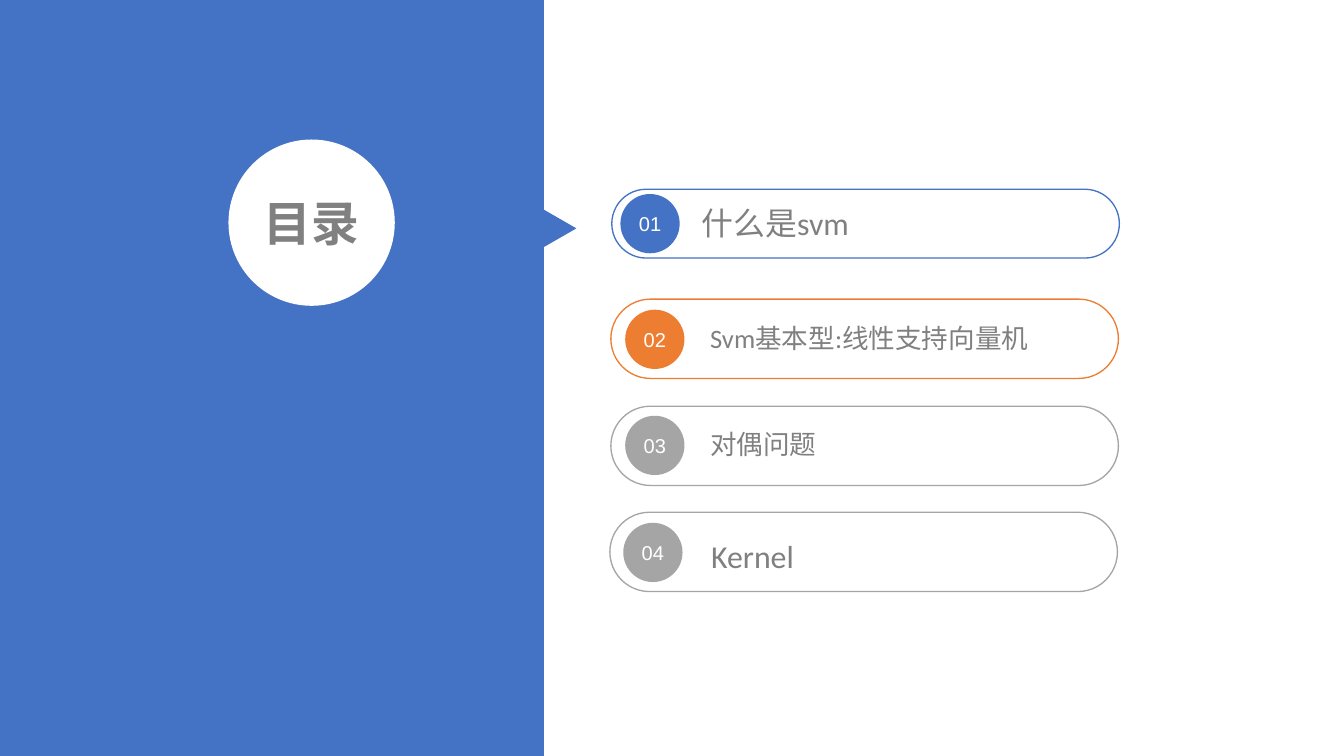
from pptx import Presentation
from pptx.dml.color import RGBColor
from pptx.enum.shapes import MSO_SHAPE as Shape
from pptx.enum.text import MSO_ANCHOR as Anchor, MSO_AUTO_SIZE as AutoSize, PP_ALIGN as Align
from pptx.util import Inches, Pt

BLUE = RGBColor(0x44, 0x72, 0xC4)
ORANGE = RGBColor(0xED, 0x7D, 0x31)
SILVER = RGBColor(0xA5, 0xA5, 0xA5)
GREY = RGBColor(0x80, 0x80, 0x80)
WHITE = RGBColor(0xFF, 0xFF, 0xFF)

PILL_WIDTH = 5.31
BADGE_SIZE = 0.62

# colour, pill (left, top, height), badge (left, top),
# label (text, size, wrap), label box (left, top, width, height)
TOPICS = [
    (BLUE, (6.4, 1.98, 0.72), (6.49, 2.03),
     ("什么是svm", 24, True), (7.24, 2.08, 2.32, 0.5)),
    (ORANGE, (6.39, 3.13, 0.83), (6.54, 3.24),
     ("Svm基本型:线性支持向量机", 20, True), (7.33, 3.32, 3.88, 0.44)),
    (SILVER, (6.39, 4.25, 0.83), (6.54, 4.35),
     ("对偶问题", 20, True), (7.33, 4.43, 1.9, 0.44)),
    (SILVER, (6.38, 5.36, 0.83), (6.52, 5.47),
     ("Kernel", 24, False), (7.34, 5.57, 1.08, 0.5)),
]


class AgendaSlide:
    def __init__(self, deck):
        self.slide = deck.slides.add_slide(deck.slide_layouts[5])
        self.shapes = self.slide.shapes
        self.badge_font = "Arial"
        self.label_font = "Calibri"

    def add_span(self, para, text, size, font, color, bold=False):
        span = para.add_run()
        span.text = text
        span.font.size = Pt(size)
        span.font.name = font
        span.font.color.rgb = color
        span.font.bold = bold

    def center(self, frame):
        """Centre the text of a frame both ways, with narrow margins."""
        frame.word_wrap = True
        frame.auto_size = AutoSize.NONE
        frame.vertical_anchor = Anchor.MIDDLE
        frame.margin_left = frame.margin_right = Inches(0.08)
        frame.margin_top = frame.margin_bottom = Inches(0.04)
        para = frame.paragraphs[0]
        para.alignment = Align.CENTER
        return para

    def solid(self, kind, left, top, width, height, color):
        shape = self.shapes.add_shape(
            kind, Inches(left), Inches(top), Inches(width), Inches(height))
        shape.shadow.inherit = False
        shape.fill.solid()
        shape.fill.fore_color.rgb = color
        shape.line.fill.background()
        return shape

    def pill(self, left, top, height, color):
        shape = self.solid(Shape.ROUNDED_RECTANGLE, left, top, PILL_WIDTH, height, color)
        shape.adjustments[0] = 0.5
        shape.fill.background()
        shape.line.color.rgb = color
        shape.line.width = Pt(1)

    def badge(self, number, left, top, color):
        shape = self.solid(Shape.OVAL, left, top, BADGE_SIZE, BADGE_SIZE, color)
        para = self.center(shape.text_frame)
        self.add_span(para, f"{number:02d}", 15.1, self.badge_font, WHITE)

    def label(self, text, size, wrap, left, top, width, height):
        box = self.shapes.add_textbox(
            Inches(left), Inches(top), Inches(width), Inches(height))
        frame = box.text_frame
        frame.word_wrap = wrap
        frame.auto_size = AutoSize.SHAPE_TO_FIT_TEXT
        self.add_span(frame.paragraphs[0], text, size, self.label_font, GREY)

    def title(self, text, left, top, size):
        """Set the title on a white disc, in front of the side panel."""
        self.solid(Shape.OVAL, left, top, size, size, WHITE)
        title = self.shapes.title
        title.left, title.top = Inches(left), Inches(top)
        title.width = title.height = Inches(size)
        para = self.center(title.text_frame)
        self.add_span(para, text, 36, self.badge_font, GREY, bold=True)
        title.element.getparent().append(title.element)


def main():
    deck = Presentation()
    deck.slide_width = Inches(14.06)
    deck.slide_height = Inches(7.91)

    page = AgendaSlide(deck)
    pointer = page.solid(Shape.ISOSCELES_TRIANGLE, 5.6, 2.19, 0.46, 0.4, BLUE)
    pointer.rotation = 90
    page.solid(Shape.RECTANGLE, 0, 0, 5.69, 7.91, BLUE)
    page.title("目录", 2.39, 1.46, 1.74)

    for number, (color, pill, badge, label, box) in enumerate(TOPICS, start=1):
        page.pill(*pill, color)
        page.badge(number, *badge, color)
        page.label(*label, *box)

    deck.save("out.pptx")


if __name__ == "__main__":
    main()
